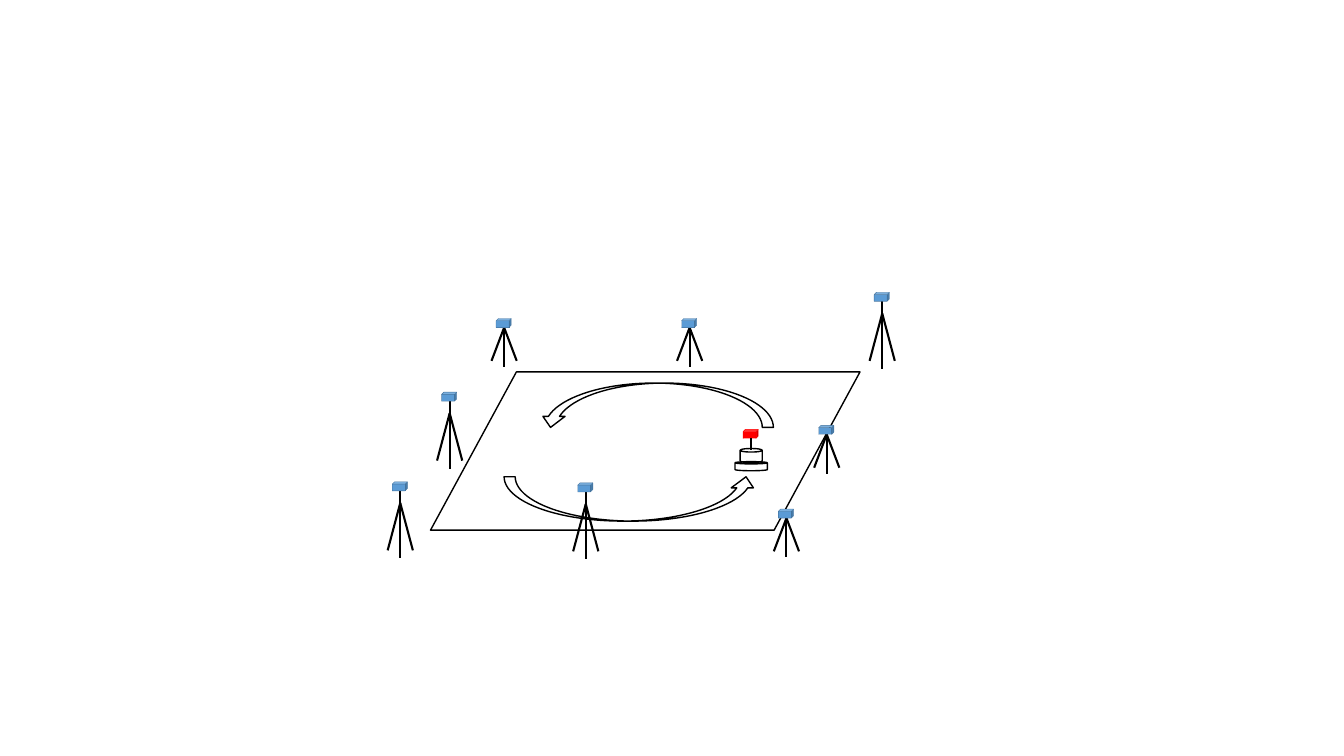
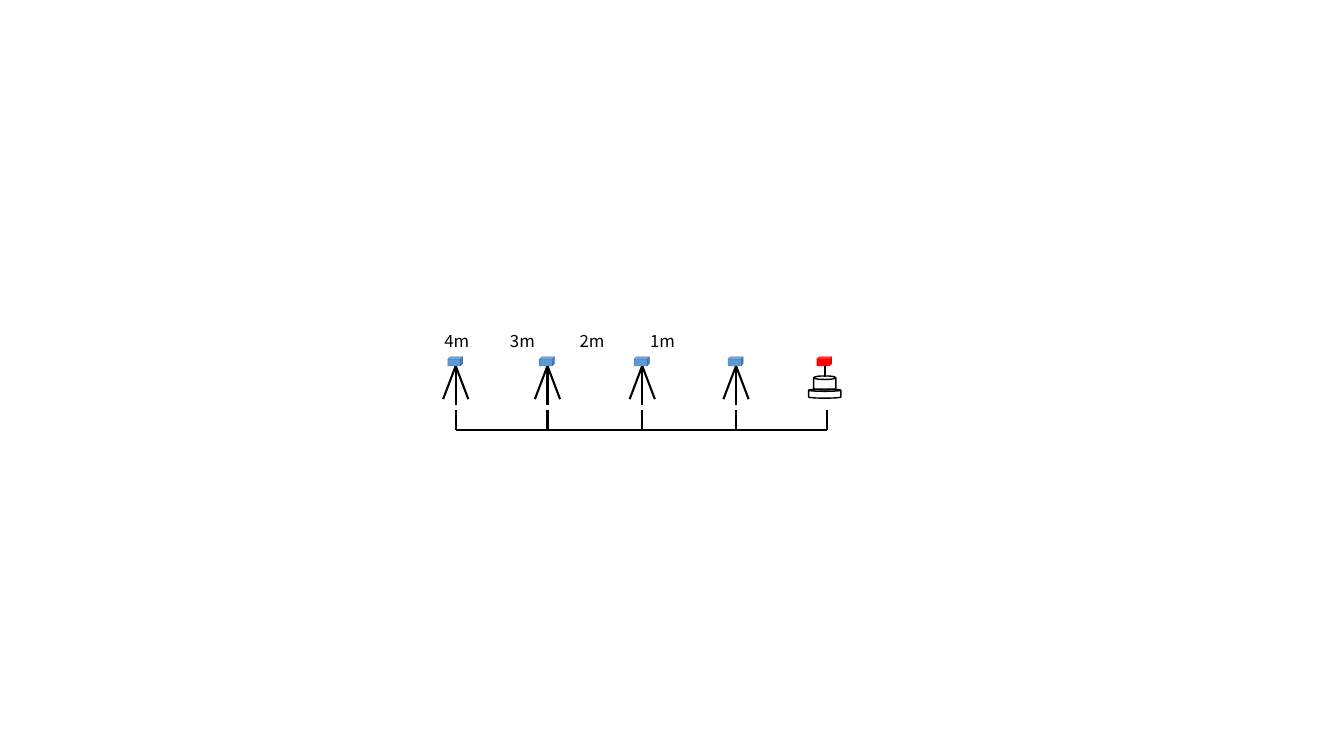
from pptx import Presentation
from pptx.dml.color import RGBColor
from pptx.enum import shapes as kinds
from pptx.oxml import xmlchemy as xml
from pptx.util import Inches, Pt

BLACK, BLUE, EDGE, RED = "000000", "5B9BD5", "43739E", "FF0000"
FONT = "Noto Sans CJK KR"
FORM = kinds.MSO_SHAPE


def paint(part, tone):
    part.solid()
    part.fore_color.rgb = RGBColor.from_string(tone)


def add_form(items, form, left, top, width, height, fill=None, line=BLACK, weight=1):
    item = items.add_shape(form, *map(Inches, (left, top, width, height)))
    item.shadow.inherit = False
    if fill:
        paint(item.fill, fill)
    else:
        item.fill.background()
    paint(item.line.fill, line)
    item.line.width = Pt(weight)
    return item


def add_line(items, *ends):
    line = items.add_connector(kinds.MSO_CONNECTOR.STRAIGHT, *map(Inches, ends))
    paint(line.line.fill, BLACK)
    line.line.width = Pt(1.5)
    line._element.spPr.append(xml.OxmlElement("a:effectLst"))


def add_head(items, x, top, fill, edge):
    add_form(items, FORM.CUBE, x - 0.08, top, 0.15, 0.09, fill, edge, 0.25)


def add_tripod(slide, x, top, tall=False):
    items = slide.shapes.add_group_shape().shapes
    neck = top + 0.09
    fork, drop, post = (0.12, 0.47, 0.67) if tall else (0, 0.33, 0.39)
    for side in (-0.125, 0.125):
        add_line(items, x, neck + fork, x + side, neck + fork + drop)
    add_line(items, x, neck, x, neck + post)
    add_head(items, x, top, BLUE, EDGE)


def add_robot(slide, x, top):
    items = slide.shapes.add_group_shape().shapes
    add_form(items, FORM.CAN, x - 0.16, top + 0.32, 0.32, 0.09)
    add_form(items, FORM.CAN, x - 0.11, top + 0.19, 0.22, 0.14)
    add_head(items, x, top, RED, RED)
    add_line(items, x, top + 0.09, x, top + 0.2)


def add_label(slide, label, left, top):
    box = slide.shapes.add_textbox(*map(Inches, (left, top, 0.6, 0.3)))
    box.text_frame.word_wrap = True
    box.text_frame.text = label
    font = box.text_frame.paragraphs[0].runs[0].font
    font.size = Pt(12)
    font.name = FONT
    paint(font.fill, BLACK)


def add_ruler(slide, marks, top, base):
    items = slide.shapes.add_group_shape().shapes
    add_line(items, marks[0], base, marks[-1], base)
    for x in marks:
        add_line(items, x, top, x, base)


def draw_field(slide):
    items = slide.shapes
    back = add_form(items, FORM.CURVED_UP_ARROW, 5.35, 3.8, 2.32, 0.44)
    back.rotation = 180
    add_form(items, FORM.CURVED_UP_ARROW, 5, 4.73, 2.51, 0.44)
    add_form(items, FORM.FLOWCHART_DATA, 4.27, 3.69, 4.26, 1.57)
    for x, top in ((7.8, 5.05), (5, 3.16), (6.84, 3.16), (8.2, 4.22)):
        add_tripod(slide, x, top)
    for x, top in ((8.75, 2.9), (4.46, 3.89), (3.97, 4.78), (5.81, 4.79)):
        add_tripod(slide, x, top, tall=True)
    add_robot(slide, 7.45, 4.26)


def draw_range(slide):
    stands = [4.52, 5.43, 6.37, 7.3]
    for x in stands:
        add_tripod(slide, x, 3.54)
    add_robot(slide, 8.18, 3.54)
    add_ruler(slide, stands + [8.2], 4.07, 4.27)
    for label, left in (("4m", 4.31), ("3m", 4.96), ("2m", 5.65), ("1m", 6.35)):
        add_label(slide, label, left, 3.23)


def main():
    deck = Presentation()
    deck.slide_width = Inches(13.33)
    deck.slide_height = Inches(7.5)
    for draw in (draw_field, draw_range):
        draw(deck.slides.add_slide(deck.slide_layouts[6]))
    deck.save("out.pptx")


if __name__ == "__main__":
    main()
